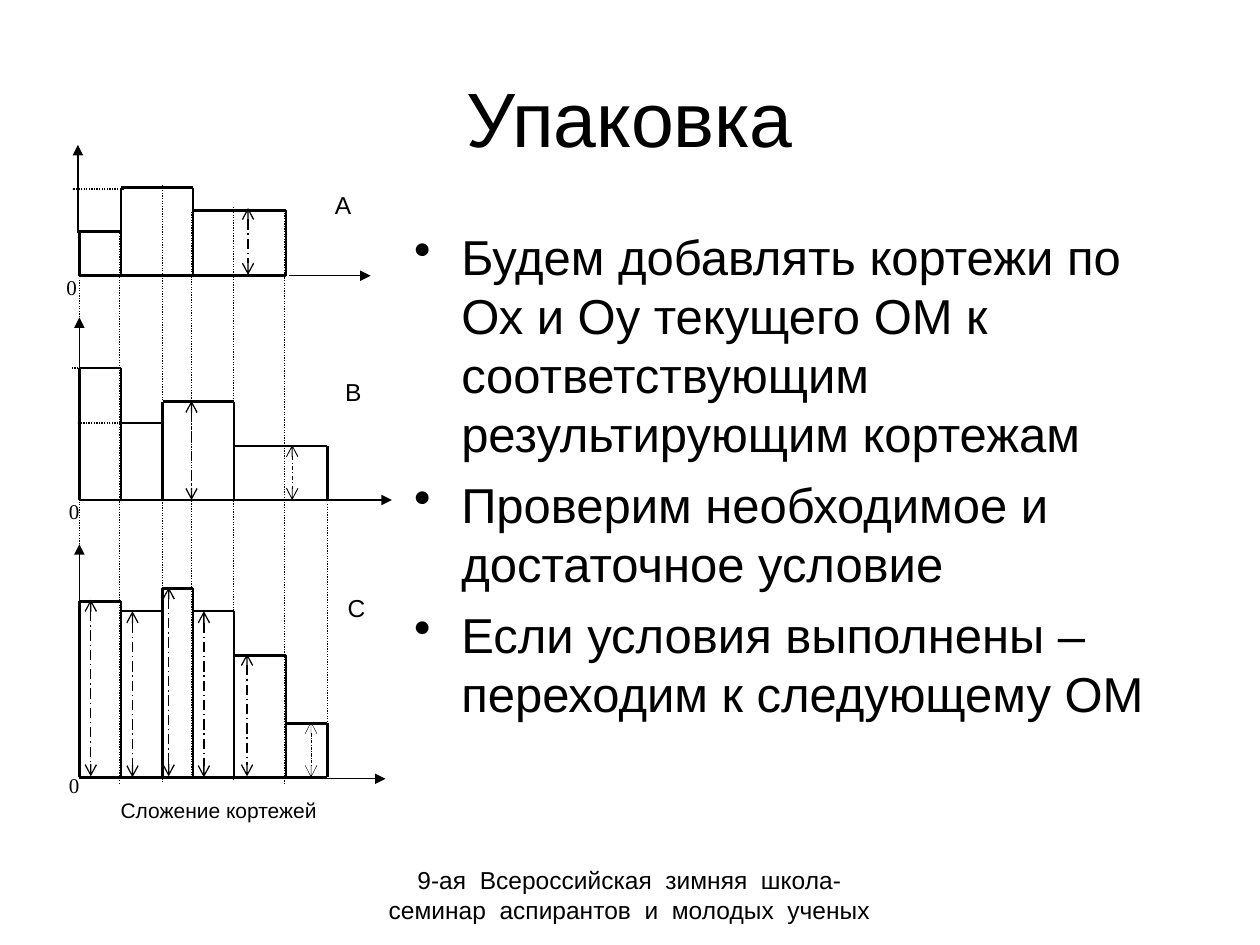
"""Build a slide on packing with three stacked step charts and a bullet list."""
from pptx import Presentation
from pptx import util as u
from pptx.dml import color
from pptx.enum import dml, shapes, text
from pptx.oxml import ns, xmlchemy

Cm, Pt = u.Cm, u.Pt
DASH = dml.MSO_LINE
LEFT, MID = text.PP_ALIGN.LEFT, text.PP_ALIGN.CENTER
HUES = {"ink": "000000"}
INK = color.RGBColor.from_string(HUES["ink"])

deck = Presentation()
deck.slide_width, deck.slide_height = Cm(25.4), Cm(19.05)
slide = deck.slides.add_slide(deck.slide_layouts[6])


def draw(x1, y1, x2, y2, width=0.75, dash=None, head=None, tail=None):
    link = slide.shapes.add_connector(
        shapes.MSO_CONNECTOR.STRAIGHT, Cm(x1), Cm(y1), Cm(x2), Cm(y2))
    link.line.color.rgb = INK
    link.line.width = Pt(width)
    if dash:
        link.line.dash_style = dash
    props = link._element.spPr
    line = props.find(ns.qn("a:ln"))
    for tag, kind in (("a:headEnd", head), ("a:tailEnd", tail)):
        if kind:
            end = xmlchemy.OxmlElement(tag)
            end.set("type", kind)
            line.append(end)
    props.append(xmlchemy.OxmlElement("a:effectLst"))


def write(box, lines, size, font="Arial", align=LEFT, anchor=text.MSO_ANCHOR.TOP):
    frame = slide.shapes.add_textbox(*map(Cm, box)).text_frame
    frame.word_wrap = True
    frame.vertical_anchor = anchor
    for i, words in enumerate(lines):
        para = frame.add_paragraph() if i else frame.paragraphs[0]
        para.alignment = align
        run = para.add_run()
        run.text = words
        run.font.size = Pt(size)
        run.font.name = font
        run.font.color.rgb = INK
    return frame


write((1.27, 0.76, 22.86, 3.18), ["Упаковка"], 44, align=MID,
      anchor=text.MSO_ANCHOR.MIDDLE)
write((1.02, 15.95, 6.78, 0.74), ["Сложение кортежей"], 12, align=MID)

charts = [
    (5.56, [1.6, 2.44, 3.89, 5.77], [4.67, 3.78, 4.24]),
    (10.08, [1.6, 2.44, 3.28, 4.72, 6.6], [7.42, 8.53, 8.1, 8.99]),
    (15.67, [1.6, 2.44, 3.28, 3.89, 4.72, 5.77, 6.6],
     [12.12, 12.32, 11.86, 12.32, 13.21, 14.58]),
]
for base, edges, tops in charts:
    draw(edges[0], base, edges[-1], base, 1.5)
    for left, right, top in zip(edges, edges[1:], tops):
        draw(left, top, right, top, 1.5)
    for x, a, b in zip(edges, [base] + tops, tops + [base]):
        draw(x, base, x, min(a, b), 1.5)

guides = [(1.6, 5.64, 14.1), (2.41, 4.7, 15.82), (3.28, 3.73, 15.75),
          (3.86, 4.27, 15.62), (4.7, 4.17, 15.72), (5.74, 4.24, 15.8),
          (6.6, 10.16, 15.29)]
for x, top, end in guides:
    draw(x, top, x, end, dash=DASH.ROUND_DOT)
for y, left, right in [(3.81, 1.45, 2.49), (7.42, 1.45, 1.68), (8.53, 1.55, 2.59)]:
    draw(right, y, left, y, dash=DASH.ROUND_DOT)

for x, low, high in [(1.57, 4.7, 2.92), (1.6, 8.2, 6.4), (1.6, 12.75, 10.97)]:
    draw(x, low, x, high, tail="triangle")
for y, left in [(5.56, 5.82), (10.08, 6.25), (15.7, 6.12)]:
    draw(left, y, left + 1.65, y, tail="triangle")

spans = [(5, 4.19, 5.54, 0.75), (3.86, 8.08, 10.08, 0.75),
         (5.89, 8.97, 10.08, 0.5), (1.83, 12.09, 15.65, 0.75),
         (2.67, 12.32, 15.67, 0.75), (3.4, 11.84, 15.65, 0.75),
         (4.11, 12.32, 15.67, 0.75), (4.98, 13.18, 15.65, 0.75),
         (6.27, 14.55, 15.67, 0.25)]
for x, top, end, width in spans:
    dash = DASH.DASH_DOT if width == 0.5 else DASH.LONG_DASH_DOT
    draw(x, top, x, end, width, dash, "arrow", "arrow")

for x, y in [(1.09, 5.41), (1.14, 9.93), (1.14, 15.44)]:
    write((x, y, 0.64, 0.66), ["0"], 12, "Times New Roman")
for name, x, y in [("А", 6.5, 3.71), ("В", 6.71, 7.47), ("С", 6.76, 11.84)]:
    write((x, y, 1, 1.1), [name], 14)

points = [
    "Будем добавлять кортежи по Ох и Оу текущего ОМ к соответствующим "
    "результирующим кортежам",
    "Проверим необходимое и достаточное условие",
    "Если условия выполнены – переходим к следующему ОМ",
]
body = write((8.1, 4.45, 16.03, 12.57), points, 28)
for para in body.paragraphs:
    para.space_before = Pt(7)
    props = para._p.get_or_add_pPr()
    props.set("marL", str(Cm(0.95)))
    props.set("indent", str(-Cm(0.95)))
    dot = xmlchemy.OxmlElement("a:buChar")
    dot.set("char", "•")
    props.append(dot)

write((7.29, 17.32, 10.8, 1.32),
      ["9-ая  Всероссийская  зимняя  школа-семинар  аспирантов  и  молодых  ученых"],
      14, align=MID)

deck.save("out.pptx")
